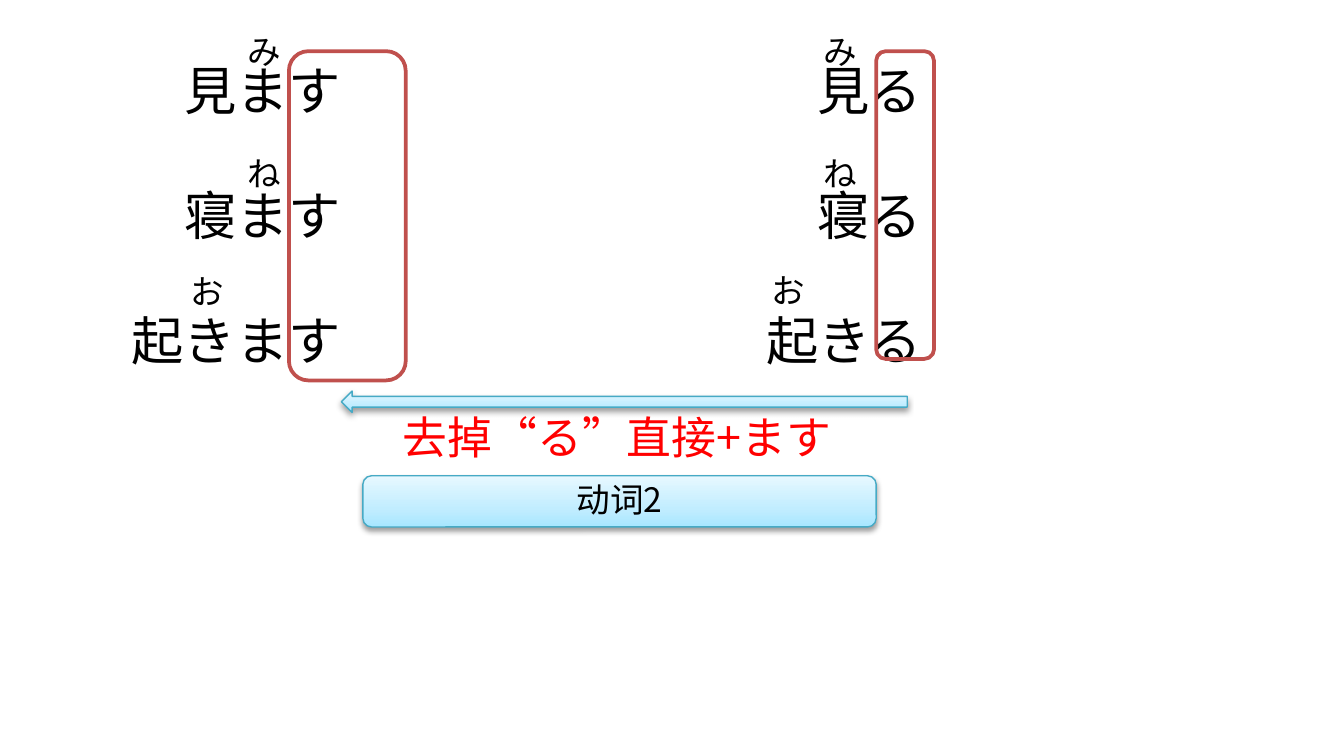
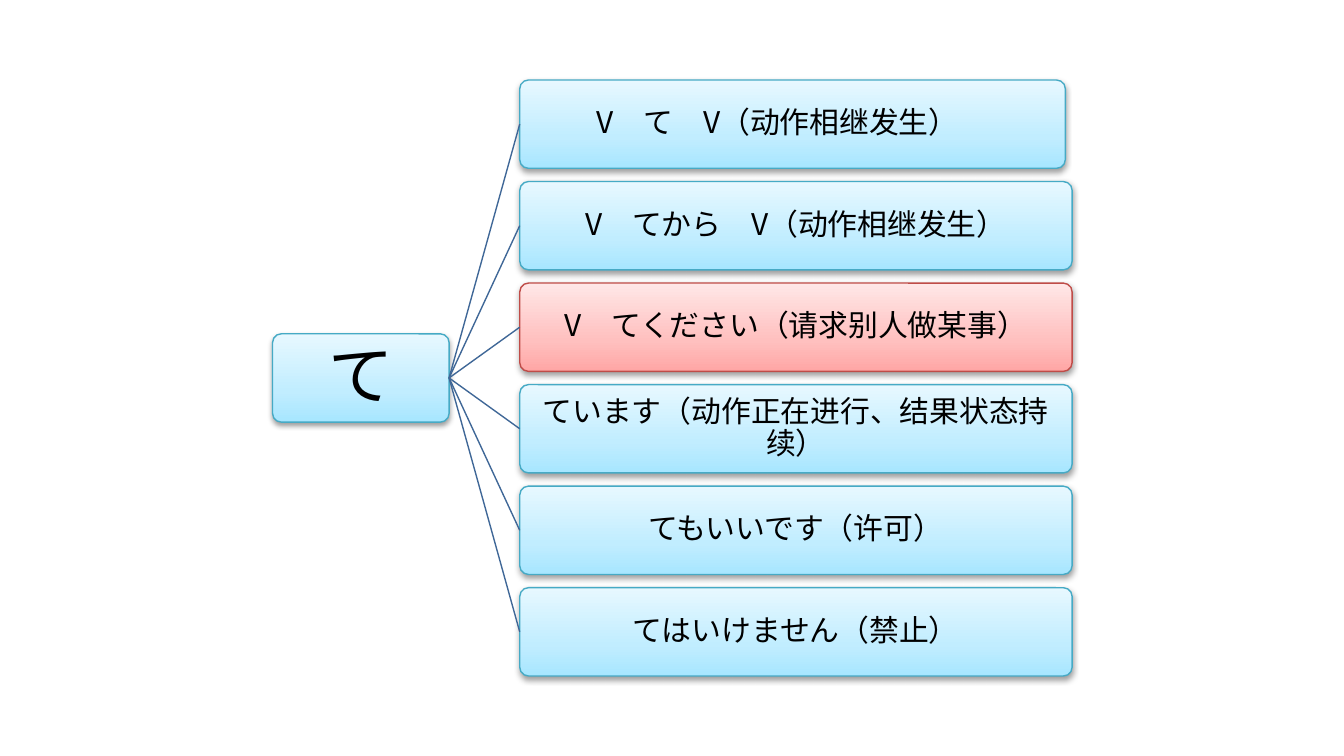
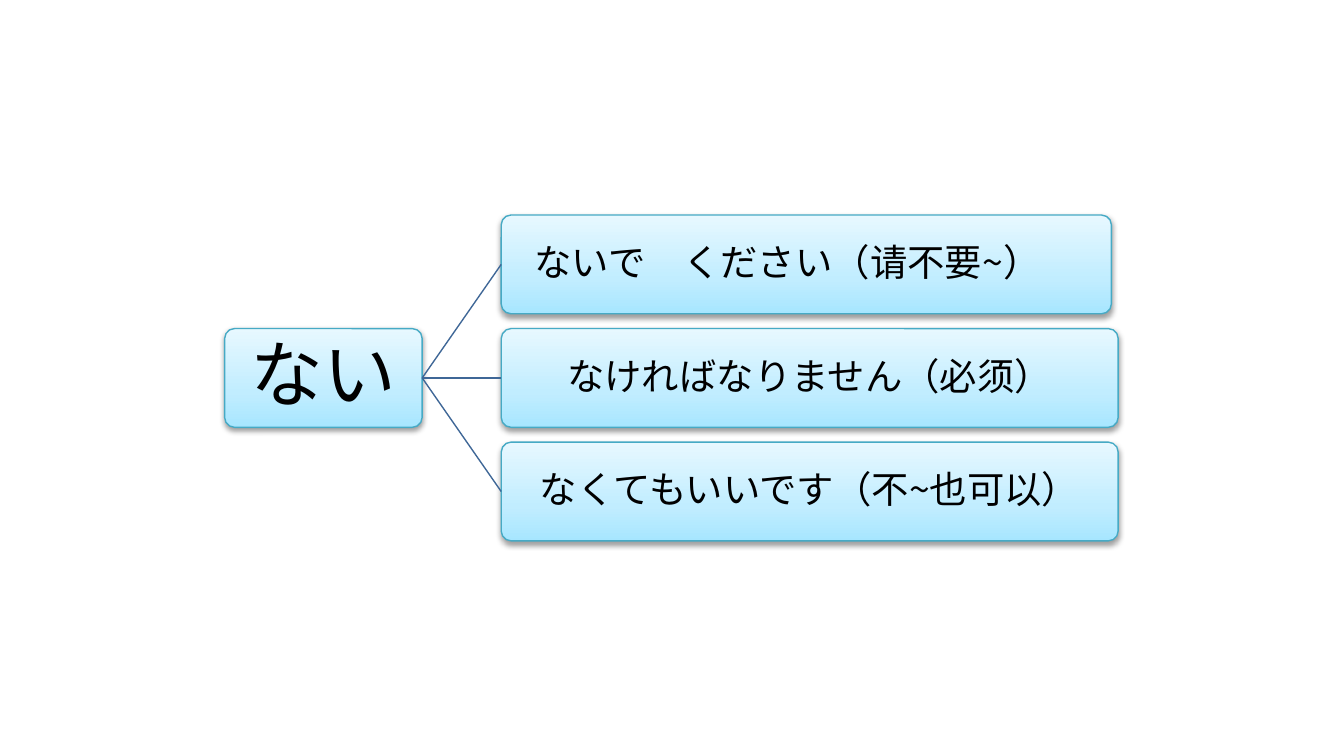
"""Build three slides on Japanese verb forms: plain to polite, te-forms and nai-forms."""
from dataclasses import dataclass

from lxml import etree
from pptx import Presentation
from pptx.dml.color import RGBColor
from pptx.enum.shapes import MSO_CONNECTOR, MSO_SHAPE
from pptx.enum.text import MSO_ANCHOR, MSO_AUTO_SIZE, PP_ALIGN
from pptx.oxml.ns import qn
from pptx.util import Pt

ROUNDED, LEFT_ARROW = MSO_SHAPE.ROUNDED_RECTANGLE, MSO_SHAPE.LEFT_ARROW
STRAIGHT = MSO_CONNECTOR.STRAIGHT
LEFT, CENTER, RIGHT = PP_ALIGN.LEFT, PP_ALIGN.CENTER, PP_ALIGN.RIGHT
MIDDLE = MSO_ANCHOR.MIDDLE
FIT_TEXT = MSO_AUTO_SIZE.SHAPE_TO_FIT_TEXT
LEFT_SIDE, RIGHT_SIDE = 1, 3
SLIDE_WIDTH, SLIDE_HEIGHT = 720, 405


@dataclass(frozen=True)
class Glow:
    """Line colour and bottom-to-top gradient stops of a panel."""
    line: str
    stops: tuple[tuple[int, str], ...]


@dataclass(frozen=True)
class Theme:
    """Colours, fonts and type sizes shared by the slides."""
    ink: str = "000000"
    rule: str = "FF0000"
    frame: str = "C0504D"
    link: str = "3F6797"
    blue: Glow = Glow("46AAC5", ((0, "A7E6FF"), (35, "C1EDFF"), (100, "E7F8FF")))
    red: Glow = Glow("BF4C48", ((0, "FFA6A5"), (35, "FFC0BF"), (100, "FFE7E7")))
    cjk: str = "Noto Sans CJK SC"
    latin: str = "Calibri"
    verb: int = 28
    formula: int = 24
    small: int = 18
    thin: float = 0.75
    thick: float = 2
    box_leading: float = 1.2
    panel_leading: float = 0.9


THEME = Theme()


@dataclass(frozen=True)
class Box:
    """Place and size in points."""
    left: float
    top: float
    width: float
    height: float

    def lengths(self) -> tuple[Pt, Pt, Pt, Pt]:
        """Return the four lengths in the order python-pptx takes them."""
        return Pt(self.left), Pt(self.top), Pt(self.width), Pt(self.height)


@dataclass(frozen=True)
class Type:
    """Size, font, colour and alignment of a text."""
    size: float
    font: str = THEME.cjk
    color: str = THEME.ink
    align: PP_ALIGN = CENTER


@dataclass(frozen=True)
class Note:
    """Free-standing text, one entry per line."""
    box: Box
    lines: tuple[str, ...]
    type: Type


@dataclass(frozen=True)
class Branch:
    """One usage in a diagram."""
    text: str
    width: float
    glow: Glow = THEME.blue


@dataclass(frozen=True)
class Diagram:
    """A root form and the usages that spring from it."""
    root: str
    root_size: int
    branch_size: int
    left: float
    height: float
    branches: tuple[Branch, ...]


VERB = Type(THEME.verb, align=RIGHT)
KANA = Type(THEME.small, THEME.latin, align=LEFT)
POLITE_ENDING = Box(154.8, 27.4, 62.6, 176.4)
PLAIN_ENDING = Box(469.4, 27.4, 31, 164.9)
TO_POLITE = Box(182.9, 209.5, 303.1, 11.5)
VERB_GROUP = Box(194.4, 254.9, 275, 27.4)

VERB_NOTES = (
    Note(Box(29.5, 27.4, 188, 182), ("見ます　", "寝ます　", "起きます　"), VERB),
    Note(Box(361.4, 27.4, 139.7, 182), ("見る", "寝る", "起きる"), VERB),
    Note(Box(208.8, 216, 260.6, 36), ("去掉“る”直接+ます",),
         Type(THEME.formula, color=THEME.rule, align=LEFT)),
    Note(Box(125.3, 13, 51.8, 28.8), ("み",), KANA),
    Note(Box(125.3, 78.5, 38.2, 28.8), ("ね",), KANA),
    Note(Box(434.2, 13, 38.2, 28.8), ("み",), KANA),
    Note(Box(434.2, 78.5, 35.3, 28.8), ("ね",), KANA),
    Note(Box(95, 141.8, 39.6, 28.8), ("お",), KANA),
    Note(Box(406.1, 141.1, 36, 28.8), ("お",), KANA),
)

TE_FORM = Diagram("て", 35, 16, 146, 47.3, (
    Branch("V　て　V（动作相继发生）　", 292.3),
    Branch("V　てから　V（动作相继发生）", 295.9),
    Branch("V　てください（请求别人做某事）", 295.9, THEME.red),
    Branch("ています（动作正在进行、结果状态持续）", 295.9),
    Branch("てもいいです（许可）", 295.9),
    Branch("てはいけません（禁止）", 295.9),
))

NAI_FORM = Diagram("ない", 39, 20, 120.4, 52.9, (
    Branch("ないで　ください（请不要~）　", 326.9),
    Branch("なければなりません（必须）", 330.5),
    Branch("なくてもいいです（不~也可以）", 330.5),
))


def set_type(paragraph, style: Type, leading) -> None:
    """Format a paragraph, for Latin and East Asian letters alike."""
    paragraph.alignment = style.align
    paragraph.line_spacing = leading
    font = paragraph.font
    font.size = Pt(style.size)
    font.color.rgb = RGBColor.from_string(style.color)
    font.name = style.font
    defaults = paragraph._p.pPr.find(qn("a:defRPr"))
    etree.SubElement(defaults, qn("a:ea"), typeface=THEME.cjk)


def add_note(slide, note: Note) -> None:
    """Add a text box whose lines are a blank line's height apart."""
    frame = slide.shapes.add_textbox(*note.box.lengths()).text_frame
    frame.word_wrap = True
    frame.auto_size = FIT_TEXT
    leading = Pt(note.type.size * THEME.box_leading)
    for index, line in enumerate(note.lines):
        paragraph = frame.paragraphs[0] if index == 0 else frame.add_paragraph()
        paragraph.text = line
        if index:
            paragraph.space_before = leading
        set_type(paragraph, note.type, leading)


def add_frame(slide, box: Box) -> None:
    """Add an unfilled rounded outline."""
    frame = slide.shapes.add_shape(ROUNDED, *box.lengths())
    frame.shadow.inherit = False
    frame.fill.background()
    frame.line.color.rgb = RGBColor.from_string(THEME.frame)
    frame.line.width = Pt(THEME.thick)


def add_panel(slide, box: Box, glow: Glow = THEME.blue, kind: MSO_SHAPE = ROUNDED):
    """Add a shape with gradient, thin line and soft shadow."""
    panel = slide.shapes.add_shape(kind, *box.lengths())
    panel.line.color.rgb = RGBColor.from_string(glow.line)
    panel.line.width = Pt(THEME.thin)
    panel.fill.gradient()
    panel.fill.gradient_angle = 90
    properties = panel._element.spPr
    stops = properties.find(".//" + qn("a:gsLst"))
    for stop in list(stops):
        stops.remove(stop)
    for percent, color in glow.stops:
        stop = etree.SubElement(stops, qn("a:gs"), pos=str(percent * 1000))
        etree.SubElement(stop, qn("a:srgbClr"), val=color)
    panel.shadow.inherit = False
    shadow = etree.SubElement(
        properties.find(qn("a:effectLst")), qn("a:outerShdw"),
        blurRad=str(Pt(3.1)), dist=str(Pt(1.6)), dir="5400000", rotWithShape="0")
    shade = etree.SubElement(shadow, qn("a:srgbClr"), val=THEME.ink)
    etree.SubElement(shade, qn("a:alpha"), val="38000")
    return panel


def write_in(panel, text: str, style: Type) -> None:
    """Centre one paragraph in a panel."""
    frame = panel.text_frame
    frame.word_wrap = True
    frame.vertical_anchor = MIDDLE
    frame.margin_left = frame.margin_right = Pt(2)
    frame.margin_top = frame.margin_bottom = Pt(2)
    paragraph = frame.paragraphs[0]
    paragraph.text = text
    set_type(paragraph, style, THEME.panel_leading)


def add_node(slide, box: Box, text: str, size: float, glow: Glow = THEME.blue):
    """Add a lettered diagram panel with small corners."""
    node = add_panel(slide, box, glow)
    node.adjustments[0] = 0.1
    write_in(node, text, Type(size))
    return node


def add_link(slide, root, branch) -> None:
    """Join the root's right side to a branch's left side."""
    link = slide.shapes.add_connector(STRAIGHT, 0, 0, 0, 0)
    link.begin_connect(root, RIGHT_SIDE)
    link.end_connect(branch, LEFT_SIDE)
    link.line.color.rgb = RGBColor.from_string(THEME.link)
    link.line.width = Pt(THEME.thin)
    etree.SubElement(link._element.spPr, qn("a:effectLst"))


def draw_diagram(slide, diagram: Diagram) -> None:
    """Draw the root at mid-height and its branches evenly about it."""
    height = diagram.height
    pitch, root_width = 1.15 * height, 2 * height
    root_top = (SLIDE_HEIGHT - height) / 2
    branch_left = diagram.left + 1.4 * root_width
    first_top = root_top - pitch * (len(diagram.branches) - 1) / 2
    root = add_node(slide, Box(diagram.left, root_top, root_width, height),
                    diagram.root, diagram.root_size)
    for index, usage in enumerate(diagram.branches):
        box = Box(branch_left, first_top + index * pitch, usage.width, height)
        branch = add_node(slide, box, usage.text, diagram.branch_size, usage.glow)
        add_link(slide, root, branch)


def draw_verbs(slide) -> None:
    """Draw the plain and polite forms and the rule between them."""
    for note in VERB_NOTES:
        add_note(slide, note)
    for ending in (PLAIN_ENDING, POLITE_ENDING):
        add_frame(slide, ending)
    add_panel(slide, TO_POLITE, kind=LEFT_ARROW)
    write_in(add_panel(slide, VERB_GROUP), "动词2", Type(THEME.small))


def main() -> None:
    """Build and save the presentation."""
    deck = Presentation()
    deck.slide_width, deck.slide_height = Pt(SLIDE_WIDTH), Pt(SLIDE_HEIGHT)
    blank = deck.slide_layouts.get_by_name("Blank")
    draw_verbs(deck.slides.add_slide(blank))
    for diagram in (TE_FORM, NAI_FORM):
        draw_diagram(deck.slides.add_slide(blank), diagram)
    deck.save("out.pptx")


if __name__ == "__main__":
    main()
